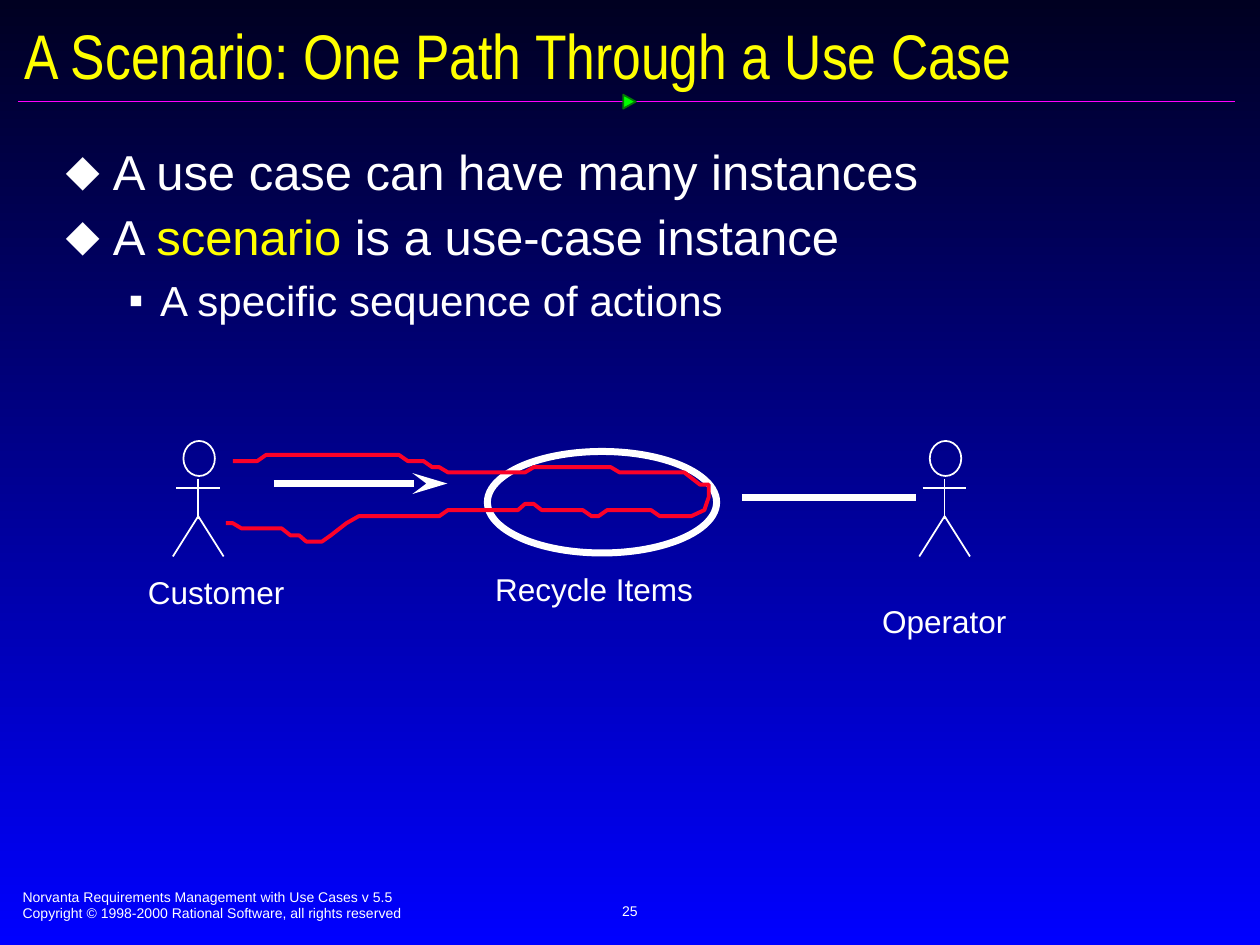
from pptx import Presentation
from pptx.dml.color import RGBColor
from pptx.enum.shapes import MSO_CONNECTOR, MSO_SHAPE
from pptx.enum.text import MSO_ANCHOR, PP_ALIGN
from pptx.oxml.ns import qn
from pptx.util import Pt
from lxml.etree import SubElement

WHITE = RGBColor(255, 255, 255)
YELLOW = RGBColor(255, 255, 0)
MAGENTA = RGBColor(255, 1, 255)
LIME = RGBColor(0, 255, 0)
GREEN = RGBColor(3, 124, 3)
RED = RGBColor(252, 1, 40)
NAVY = RGBColor(0, 0, 33)
BLUE = RGBColor(0, 0, 255)

# The scenario's route through the use case, in points
ROUTE = [
    (133, 263.5), (147, 263.5), (152, 260), (228, 260), (233, 263.5),
    (242, 263.5), (247, 267), (251, 267), (256, 270), (300, 270),
    (305, 267), (349, 267), (354, 270), (391, 270), (400, 277),
    (405, 277), (405, 284), (402.5, 291.5), (395, 295), (377, 295),
    (372, 291.5), (347, 291.5), (342, 295), (338, 295), (333, 291.5),
    (309.5, 291.5), (305, 288), (300, 288), (296, 291.5), (256, 291.5),
    (251, 295), (205, 295), (198, 299), (189, 306), (184, 309.5),
    (175, 309.5), (171, 306), (166, 306), (161, 302), (138, 302),
    (133, 299), (129, 299),
]


class Deck:
    def __init__(self, slide):
        self.slide = slide
        self.shapes = slide.shapes
        self.face = "Arial"
        self.ink = WHITE

    def back(self, top, base):
        fill = self.slide.background.fill
        fill.gradient()
        fill.gradient_angle = 270
        for stop, tint in zip(fill.gradient_stops, (top, base)):
            stop.color.rgb = tint

    def font(self, item, size, tint=None, face=None):
        item.font.size = Pt(size)
        item.font.name = face or self.face
        item.font.color.rgb = tint or self.ink

    def frame(self, x, y, w, h, wrap=True, mid=False):
        box = self.shapes.add_textbox(Pt(x), Pt(y), Pt(w), Pt(h))
        frame = box.text_frame
        frame.word_wrap = wrap
        if mid:
            frame.vertical_anchor = MSO_ANCHOR.MIDDLE
        return frame

    def text(self, x, y, w, h, lines, size, align=PP_ALIGN.LEFT,
             tint=None, face=None, **opts):
        frame = self.frame(x, y, w, h, **opts)
        frame.text = "\n".join(lines)
        for para in frame.paragraphs:
            para.alignment = align
            self.font(para, size, tint, face)

    def bullets(self, x, y, w, h, items):
        frame = self.frame(x, y, w, h)
        frame.margin_left = frame.margin_right = Pt(8.64)
        frame.margin_top = frame.margin_bottom = Pt(4.32)
        looks = [("⬥", 28, 27, -27, 0.8, 10.5), ("▪", 24, 54, -18, 0.87, 9)]
        for i, (level, runs) in enumerate(items):
            mark, size, left, hang, gap, above = looks[level]
            para = frame.add_paragraph() if i else frame.paragraphs[0]
            para.level = level
            para.line_spacing = gap
            if i:
                para.space_before = Pt(above)
            props = para._p.get_or_add_pPr()
            props.set("marL", str(Pt(left)))
            props.set("indent", str(Pt(hang)))
            tone = SubElement(props, qn("a:buClr"))
            SubElement(tone, qn("a:srgbClr"), val=str(self.ink))
            SubElement(props, qn("a:buFont"), typeface=self.face)
            SubElement(props, qn("a:buChar"), char=mark)
            self.font(para, size)
            for words, tint in runs:
                run = para.add_run()
                run.text = words
                if tint:
                    run.font.color.rgb = tint

    def line(self, x1, y1, x2, y2, width=1, tint=None, arrow=False):
        line = self.shapes.add_connector(
            MSO_CONNECTOR.STRAIGHT, Pt(x1), Pt(y1), Pt(x2), Pt(y2))
        line.line.width = Pt(width)
        line.line.color.rgb = tint or self.ink
        if arrow:
            SubElement(line.line._get_or_add_ln(), qn("a:tailEnd"),
                       type="stealth", w="med", len="lg")
        SubElement(line._element.spPr, qn("a:effectLst"))

    def dress(self, shape, width, tint, fill=None):
        shape.shadow.inherit = False
        shape.line.width = Pt(width)
        shape.line.color.rgb = tint
        if fill:
            shape.fill.solid()
            shape.fill.fore_color.rgb = fill
        else:
            shape.fill.background()

    def shape(self, kind, x, y, w, h, width, tint=None, fill=None, turn=0):
        shape = self.shapes.add_shape(kind, Pt(x), Pt(y), Pt(w), Pt(h))
        shape.rotation = turn
        self.dress(shape, width, tint or self.ink, fill)

    def trace(self, points, width, tint):
        spots = [(Pt(x), Pt(y)) for x, y in points]
        pen = self.shapes.build_freeform(*spots[0])
        pen.add_line_segments(spots[1:], close=False)
        self.dress(pen.convert_to_shape(), width, tint)

    def actor(self, x):
        """Stick figure centred on x."""
        self.shape(MSO_SHAPE.OVAL, x - 8.5, 252, 18, 20, 1)
        self.line(x, 273.5, x, 296.5)
        self.line(x - 12.5, 279, x + 12.5, 279)
        for foot in (-14.5, 14.5):
            self.line(x + foot, 318, x, 295)


def main():
    prs = Presentation()
    prs.slide_width, prs.slide_height = Pt(720), Pt(540)
    deck = Deck(prs.slides.add_slide(prs.slide_layouts[6]))
    deck.back(NAVY, BLUE)

    # Footer and page number
    deck.text(5.8, 504, 367, 27, [
        "Norvanta Requirements Management with Use Cases v 5.5",
        "Copyright © 1998-2000 Rational Software, all rights reserved"], 8)
    deck.text(246, 502.5, 228, 36, ["25"], 8, PP_ALIGN.CENTER,
              wrap=False, mid=True)

    # Title and rule
    deck.line(10.5, 58, 706, 58, 1, MAGENTA)
    deck.shape(MSO_SHAPE.ISOSCELES_TRIANGLE, 355.7, 54.5, 8, 7.2, 1,
               GREEN, LIME, 90)
    deck.text(7.2, 10, 708.5, 42, ["A Scenario: One Path Through a Use Case"],
              36, tint=YELLOW, face="Arial Narrow", mid=True)

    # Main points
    deck.bullets(28.8, 83, 669, 146, [
        (0, [("A use case can have many instances", None)]),
        (0, [("A ", None), ("scenario", YELLOW),
             (" is a use-case instance", None)]),
        (1, [("A specific sequence of actions", None)]),
    ])

    # Use case, its links and the scenario route
    deck.shape(MSO_SHAPE.OVAL, 278.5, 258, 131, 58, 4)
    deck.line(156.5, 276.3, 255.6, 276.3, 4, arrow=True)
    deck.trace(ROUTE, 2.25, RED)
    deck.line(424, 284.4, 523.4, 284.4, 4)

    # Actors and labels
    for x in (113.3, 539.8):
        deck.actor(x)
    for name, x, y, w in (("Recycle Items", 275.8, 322, 127.4),
                          ("Customer", 77, 324, 93),
                          ("Operator", 496.8, 340.5, 85.7)):
        deck.text(x, y, w, 29, [name], 18, PP_ALIGN.CENTER, wrap=False)

    prs.save("out.pptx")


if __name__ == "__main__":
    main()
